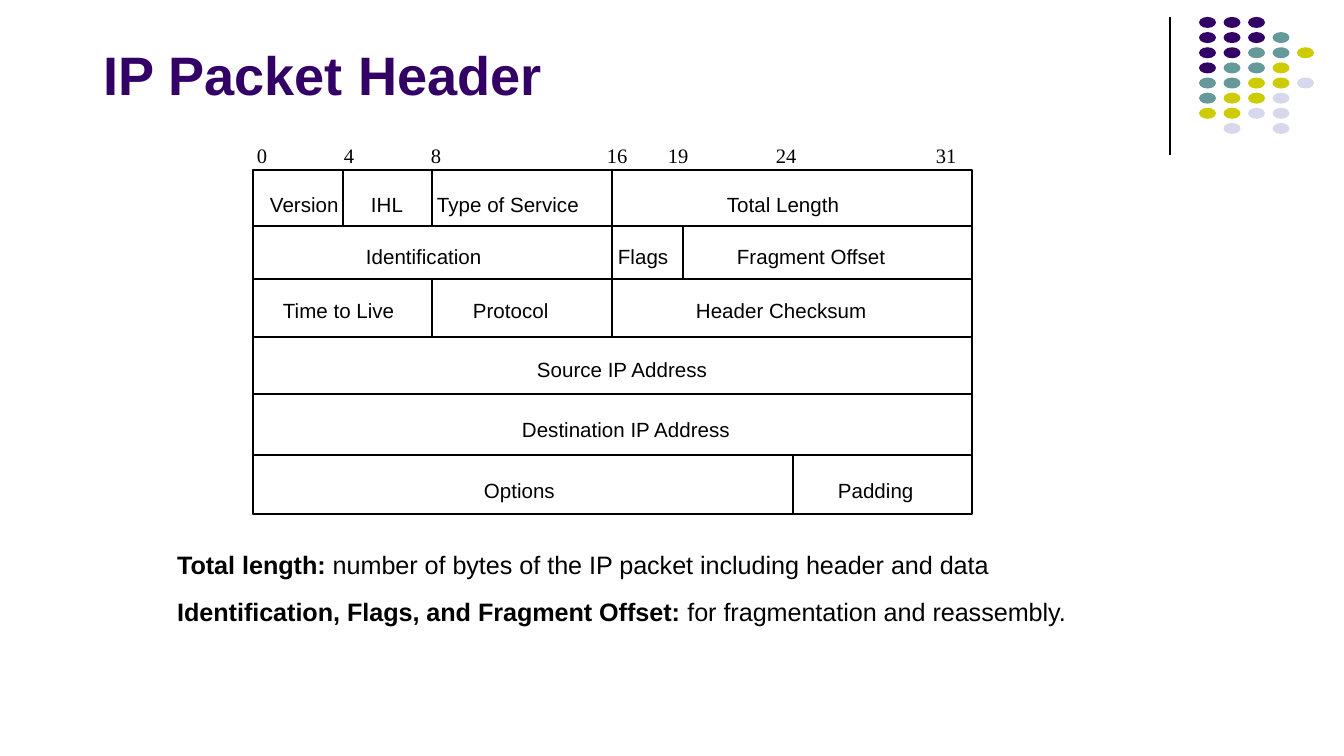
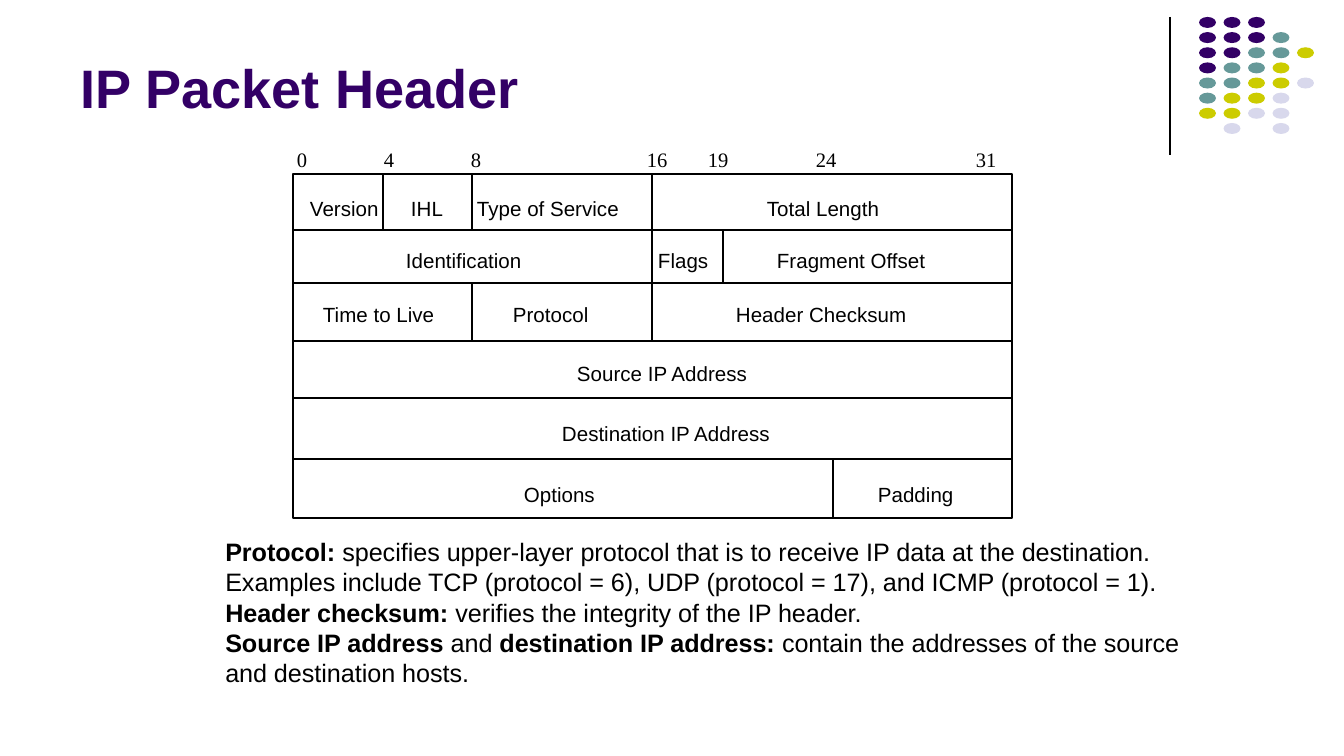
from lxml import etree
from pptx import Presentation
from pptx.dml.color import RGBColor
from pptx.enum.shapes import MSO_CONNECTOR, MSO_SHAPE
from pptx.enum.text import MSO_ANCHOR
from pptx.oxml.ns import qn
from pptx.util import Emu, Pt

LINE = MSO_CONNECTOR.STRAIGHT
OVAL = MSO_SHAPE.OVAL
RECTANGLE = MSO_SHAPE.RECTANGLE
BOTTOM = MSO_ANCHOR.BOTTOM

PURPLE = RGBColor(0x33, 0x00, 0x66)
TEAL = RGBColor(0x66, 0x99, 0x99)
YELLOW = RGBColor(0xCC, 0xCC, 0x00)
LILAC = RGBColor(0xD8, 0xD8, 0xEC)
BLACK = RGBColor(0x00, 0x00, 0x00)

SANS = "Arial"
SERIF = "Times New Roman"
EMU_PER_PX = 914400 / 134.4
PAGE_SIZE = (1344, 756)

DOT_COLORS = {"P": PURPLE, "T": TEAL, "Y": YELLOW, "L": LILAC}
DOT_ROWS = ["PPP", "PPPT", "PPTTY", "PTTY", "TTYYL", "TYYL", "YYLL", " L L"]
DOT_SIZE = (17, 11)

# Everything in the header diagram is measured from its top left corner.
HEADER_SIZE = (719, 344)
ROW_EDGES = [0, 56, 109, 167, 224, 285, 344]
BIT_X = {4: 90, 8: 179, 16: 359, 19: 430, 24: 540}
# bit, first row edge, last row edge
DIVIDERS = [(16, 0, 3), (8, 2, 3), (8, 0, 1), (4, 0, 1), (19, 1, 2), (24, 5, 6)]
LABEL_HEIGHT = 26
# top, width, font, (label, x) pairs
LABEL_ROWS = [
    (-27, 734, SERIF, [("0", 4), ("4", 91), ("8", 178), ("16", 354), ("19", 415),
                       ("24", 523), ("31", 683)]),
    (22, 594, SANS, [("Version", 17), ("IHL", 118), ("Type of Service", 184),
                     ("Total Length", 474)]),
    (74, 536, SANS, [("Identification", 113), ("Flags", 365), ("Fragment Offset", 484)]),
    (128, 605, SANS, [("Time to Live", 30), ("Protocol", 220), ("Header Checksum", 443)]),
    (187, 176, SANS, [("Source IP Address", 284)]),
    (247, 215, SANS, [("Destination IP Address", 269)]),
    (308, 445, SANS, [("Options", 231), ("Padding", 585)]),
]

# Each paragraph is a list of (text, bold) spans.
LENGTH_NOTES = [
    [("Total length:", True),
     (" number of bytes of the IP packet including header and data", False)],
    [("Identification, Flags, and Fragment Offset:", True),
     (" for fragmentation and reassembly.", False)],
]
ADDRESS_NOTES = [
    [("Protocol:", True),
     (" specifies upper-layer protocol that is to receive IP data at the destination. "
      "Examples include TCP (protocol = 6), UDP (protocol = 17), "
      "and ICMP (protocol = 1).", False)],
    [("Header checksum:", True), (" verifies the integrity of the IP header.", False)],
    [("Source IP address ", True), ("and", False), (" destination IP address:", True),
     (" contain the addresses of the source and destination hosts.", False)],
]


def px(length):
    return Emu(round(length * EMU_PER_PX))


def style_span(span, size, font=SANS, color=BLACK, bold=False):
    span.font.name = font
    span.font.size = Pt(size)
    span.font.color.rgb = color
    span.font.bold = bold


def add_text_frame(shapes, box):
    frame = shapes.add_textbox(*map(px, box)).text_frame
    frame.word_wrap = True
    return frame


def add_line(shapes, start, end, width=0.88):
    line = shapes.add_connector(LINE, *map(px, start + end))
    line.line.color.rgb = BLACK
    line.line.width = Pt(width)
    etree.SubElement(line._element.spPr, qn("a:effectLst"))


def add_corner_dots(page, left, top, width, height):
    """Fill the box with the dot pattern, the outer dots touching its edges."""
    shapes = page.shapes.add_group_shape().shapes
    dot_width, dot_height = DOT_SIZE
    step_x = (width - dot_width) / (max(map(len, DOT_ROWS)) - 1)
    step_y = (height - dot_height) / (len(DOT_ROWS) - 1)
    for row, codes in enumerate(DOT_ROWS):
        for column, code in enumerate(codes):
            if code == " ":
                continue
            dot = shapes.add_shape(OVAL, px(left + column * step_x), px(top + row * step_y),
                                   px(dot_width), px(dot_height))
            dot.shadow.inherit = False
            dot.fill.solid()
            dot.fill.fore_color.rgb = DOT_COLORS[code]
            dot.line.fill.background()


def add_title(page, box):
    frame = add_text_frame(page.shapes, box)
    frame.vertical_anchor = BOTTOM
    frame.text = "IP Packet Header"
    style_span(frame.paragraphs[0].runs[0], 29, color=PURPLE, bold=True)


def add_label_row(shapes, left, top, width, font, labels):
    """Write one row of labels, set apart by tab stops."""
    first_x = labels[0][1]
    frame = add_text_frame(shapes, (left + first_x, top, width, LABEL_HEIGHT))
    frame.margin_left = frame.margin_right = frame.margin_top = frame.margin_bottom = 0
    para = frame.paragraphs[0]
    para.text = "\t".join(text for text, _ in labels)
    if len(labels) > 1:
        tabs = etree.SubElement(para._p.get_or_add_pPr(), qn("a:tabLst"))
        for _, x in labels[1:]:
            etree.SubElement(tabs, qn("a:tab"), pos=str(px(x - first_x)), algn="l")
    for span in para.runs:
        style_span(span, 11, font)


def add_header_diagram(page, left, top):
    shapes = page.shapes.add_group_shape().shapes
    width, height = HEADER_SIZE
    frame = shapes.add_shape(RECTANGLE, px(left), px(top), px(width), px(height))
    frame.shadow.inherit = False
    frame.fill.background()
    frame.line.color.rgb = BLACK
    frame.line.width = Pt(0.88)
    for edge in ROW_EDGES[1:-1]:
        add_line(shapes, (left, top + edge), (left + width, top + edge))
    for bit, first, last in DIVIDERS:
        x = left + BIT_X[bit]
        add_line(shapes, (x, top + ROW_EDGES[first]), (x, top + ROW_EDGES[last]))
    for label_top, label_width, font, labels in LABEL_ROWS:
        add_label_row(shapes, left, top + label_top, label_width, font, labels)


def add_notes_text(page, box, notes, gap):
    frame = add_text_frame(page.shapes, box)
    for index, spans in enumerate(notes):
        para = frame.add_paragraph() if index else frame.paragraphs[0]
        if index:
            para.space_before = Pt(gap)
        for text, bold in spans:
            span = para.add_run()
            span.text = text
            style_span(span, 13.5, bold=bold)


def add_header_page(deck, title_box, diagram_corner, notes_box, notes, gap=0):
    page = deck.slides.add_slide(deck.slide_layouts[6])
    add_line(page.shapes, (1170, 17), (1170, 155), 0.75)
    add_corner_dots(page, 1199, 17, 115, 117)
    add_title(page, title_box)
    add_header_diagram(page, *diagram_corner)
    add_notes_text(page, notes_box, notes, gap)


def main():
    deck = Presentation()
    deck.slide_width, deck.slide_height = map(px, PAGE_SIZE)
    add_header_page(deck, (90, 0, 802, 113), (253, 170), (164, 543, 943, 91),
                    LENGTH_NOTES, gap=9)
    add_header_page(deck, (67, 13, 1109, 113), (293, 174), (212, 530, 1020, 167),
                    ADDRESS_NOTES)
    deck.save("out.pptx")


if __name__ == "__main__":
    main()
